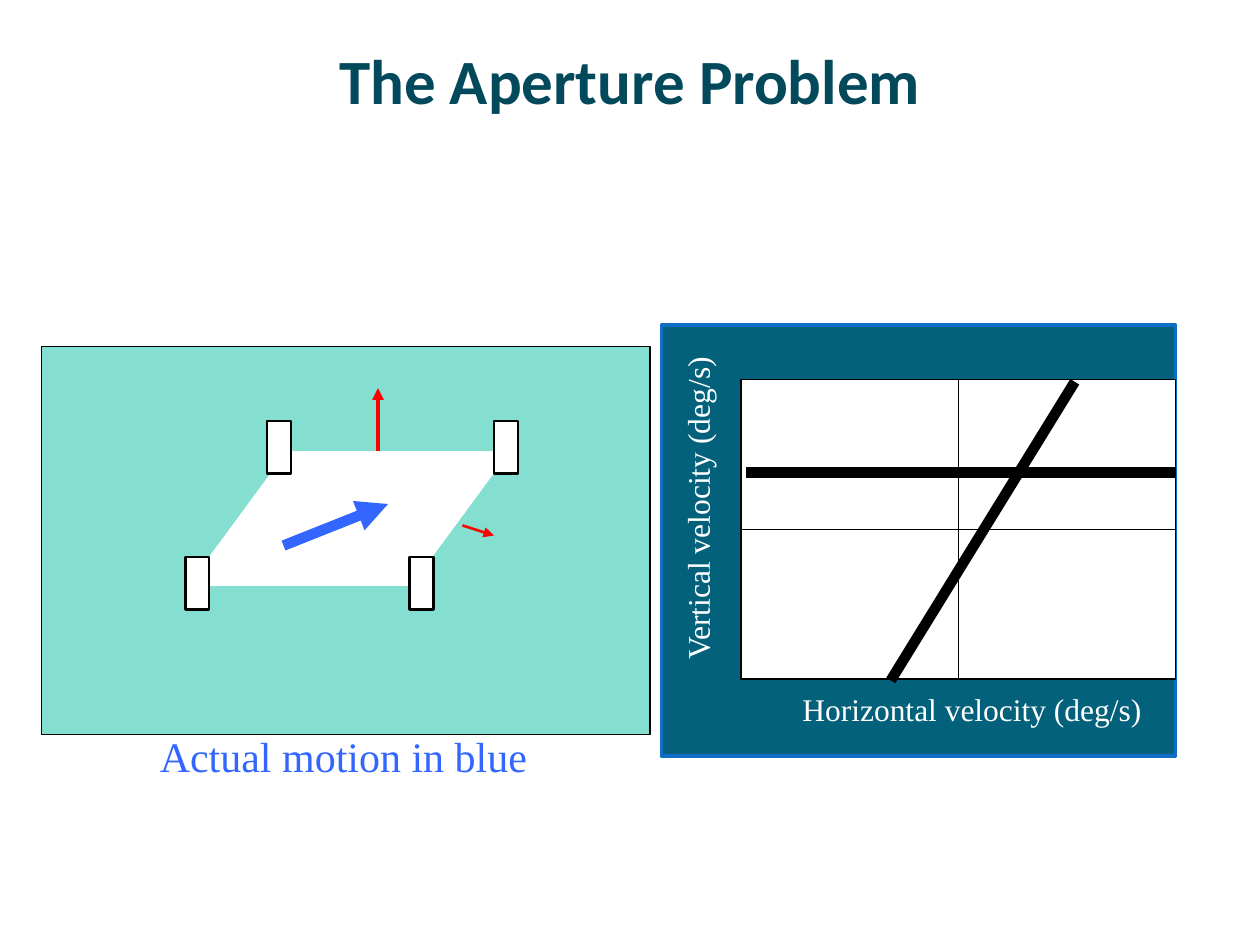
from dataclasses import dataclass

from lxml.etree import SubElement
from pptx import Presentation
from pptx.dml.color import RGBColor
from pptx.enum.shapes import MSO_CONNECTOR, MSO_SHAPE
from pptx.enum.text import MSO_ANCHOR, MSO_AUTO_SIZE, PP_ALIGN
from pptx.oxml.ns import qn
from pptx.util import Inches, Pt


@dataclass(frozen=True)
class Theme:
    title_font: str = "Calibri"
    body_font: str = "Times New Roman"
    title_size: int = 36
    caption_size: int = 24
    axis_size: int = 18
    title_color: str = "03495C"
    panel: str = "04617B"
    panel_border: str = "0F6FC6"
    scene: str = "85DFD0"
    white: str = "FFFFFF"
    black: str = "000000"
    local_motion: str = "FF0000"
    actual_motion: str = "3366FF"


class SlideBuilder:
    def __init__(self, slide, theme):
        self.slide = slide
        self.theme = theme

    def format_text(self, paragraph, font, size, color, bold=False):
        for run in paragraph.runs:
            run.font.name = font
            run.font.size = Pt(size)
            run.font.bold = bold
            run.font.color.rgb = RGBColor.from_string(color)

    def title(self, text, left, top, width, height):
        shape = self.slide.shapes.title
        shape.left, shape.top = Inches(left), Inches(top)
        shape.width, shape.height = Inches(width), Inches(height)
        text_frame = shape.text_frame
        text_frame.text = text
        text_frame.vertical_anchor = MSO_ANCHOR.MIDDLE
        paragraph = text_frame.paragraphs[0]
        paragraph.alignment = PP_ALIGN.CENTER
        self.format_text(paragraph, self.theme.title_font, self.theme.title_size,
                         self.theme.title_color, bold=True)

    def label(self, text, left, top, width, height, size, color, rotation=0):
        shape = self.slide.shapes.add_textbox(
            Inches(left), Inches(top), Inches(width), Inches(height))
        shape.rotation = rotation
        text_frame = shape.text_frame
        text_frame.text = text
        text_frame.word_wrap = False
        text_frame.auto_size = MSO_AUTO_SIZE.SHAPE_TO_FIT_TEXT
        self.format_text(text_frame.paragraphs[0], self.theme.body_font, size, color)

    def block(self, left, top, width, height, fill, line=None, line_width=0.75,
              kind=MSO_SHAPE.RECTANGLE):
        shape = self.slide.shapes.add_shape(
            kind, Inches(left), Inches(top), Inches(width), Inches(height))
        shape.shadow.inherit = False
        shape.fill.solid()
        shape.fill.fore_color.rgb = RGBColor.from_string(fill)
        if line is None:
            shape.line.fill.background()
        else:
            shape.line.color.rgb = RGBColor.from_string(line)
            shape.line.width = Pt(line_width)
        return shape

    def line(self, start, end, color, width, arrow=False):
        connector = self.slide.shapes.add_connector(
            MSO_CONNECTOR.STRAIGHT, *(Inches(value) for value in (*start, *end)))
        connector.line.color.rgb = RGBColor.from_string(color)
        connector.line.width = Pt(width)
        if arrow:
            SubElement(connector.line._get_or_add_ln(), qn("a:tailEnd"), type="triangle")
        SubElement(connector._element.spPr, qn("a:effectLst"))
        return connector

    def midline(self, shape, start_site, end_site, color, width):
        """Join the middles of two opposite sides of a shape."""
        connector = self.line((0, 0), (1, 1), color, width)
        connector.begin_connect(shape, start_site)
        connector.end_connect(shape, end_site)


def draw_velocity_plot(builder):
    theme = builder.theme
    builder.block(5.25, 2.58, 4.08, 3.42, theme.panel, theme.panel_border, 2)
    plot = builder.block(5.88, 3.01, 3.45, 2.38, theme.white, theme.black)
    builder.midline(plot, 0, 2, theme.black, 0.75)
    builder.midline(plot, 1, 3, theme.black, 0.75)
    builder.label("Horizontal velocity (deg/s)", 6.27, 5.43, 2.92, 0.4,
                  theme.axis_size, theme.white)
    builder.label("Vertical velocity (deg/s)", 4.22, 3.82, 2.63, 0.4,
                  theme.axis_size, theme.white, rotation=270)


def draw_scene(builder):
    theme = builder.theme
    builder.block(0.33, 2.75, 4.83, 3.08, theme.scene, theme.black)
    moving_shape = builder.block(1.49, 3.58, 2.56, 1.07, theme.white,
                                 kind=MSO_SHAPE.PARALLELOGRAM)
    moving_shape.adjustments[0] = 0.736
    for left, top in ((2.12, 3.34), (3.92, 3.34), (1.47, 4.42), (3.25, 4.42)):
        builder.block(left, top, 0.19, 0.42, theme.white, theme.black, 1.5)
    builder.line((3, 3.58), (3, 3.08), theme.local_motion, 2.25, arrow=True)
    builder.line((3.67, 4.17), (3.92, 4.25), theme.local_motion, 1.5, arrow=True)


def main():
    presentation = Presentation()
    presentation.slide_width = Inches(10)
    presentation.slide_height = Inches(7.5)
    slide = presentation.slides.add_slide(presentation.slide_layouts[5])
    theme = Theme()
    builder = SlideBuilder(slide, theme)

    builder.title("The Aperture Problem", 0.5, 0.17, 9, 0.92)
    draw_velocity_plot(builder)
    draw_scene(builder)

    # Constraint lines cross at the actual velocity
    builder.line((8.53, 3.03), (7.07, 5.4), theme.black, 6)
    builder.line((5.92, 3.75), (9.33, 3.75), theme.black, 6)
    builder.line((2.25, 4.33), (3.08, 4), theme.actual_motion, 6, arrow=True)
    builder.label("Actual motion in blue", 1.17, 5.75, 3.16, 0.5,
                  theme.caption_size, theme.actual_motion)

    presentation.save("out.pptx")


if __name__ == "__main__":
    main()
